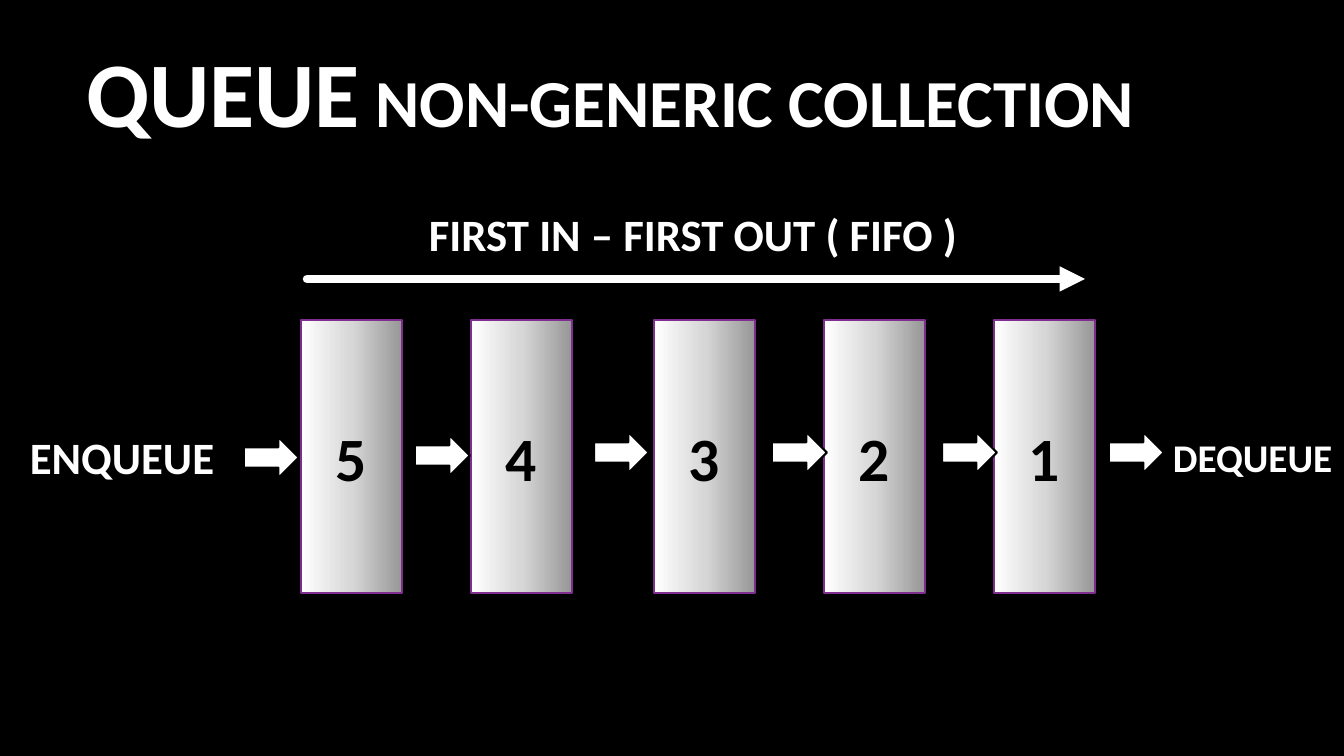
"""Build a slide that shows how a first-in, first-out queue works."""
from copy import deepcopy
from dataclasses import dataclass

from lxml.etree import SubElement
from pptx import Presentation
from pptx.dml.color import RGBColor
from pptx.enum.shapes import MSO_CONNECTOR as Link, MSO_SHAPE as Form
from pptx.enum.text import MSO_ANCHOR as Anchor, MSO_AUTO_SIZE as Fit, PP_ALIGN as Align
from pptx.oxml.ns import qn
from pptx.util import Pt

SCALE = 914400 / 100.8


@dataclass(frozen=True)
class Theme:
    """Hold the colours, font and type sizes."""
    font: str = "Calibri"
    black: str = "000000"
    white: str = "FFFFFF"
    edge: str = "7F2E8F"
    shades: tuple = ("979797", "D7D7D7", "FFFFFF")
    head: int = 66
    sub: int = 48
    digit: int = 44
    label: int = 32
    small: int = 28
    thin: float = 1.5
    thick: int = 6


LOOK = Theme()


def px(*sizes):
    """Turn pixels into EMU."""
    return [round(size * SCALE) for size in sizes]


def rgb(code):
    """Turn a hex code into a colour."""
    return RGBColor.from_string(code)


def style(run, size, color):
    """Format a run in the bold slide font."""
    font = run.font
    font.name, font.size, font.bold = LOOK.font, Pt(size), True
    font.color.rgb = rgb(color)


def add_title(slide, head, rest):
    """Fill the title with a large word and a smaller remainder."""
    title = slide.shapes.title
    title.left, title.top, title.width, title.height = px(76, 11, 1117, 160)
    frame = title.text_frame
    frame.auto_size = Fit.NONE
    frame.vertical_anchor = Anchor.MIDDLE
    para = frame.paragraphs[0]
    para.alignment = Align.LEFT
    for text, size in ((head, LOOK.head), (rest, LOOK.sub)):
        run = para.add_run()
        run.text = text
        style(run, size, LOOK.white)


def add_form(slide, kind, place, edge):
    """Add a preset shape with a thin outline."""
    shape = slide.shapes.add_shape(kind, *px(*place))
    shape.shadow.inherit = False
    shape.line.color.rgb = rgb(edge)
    shape.line.width = Pt(LOOK.thin)
    return shape


def add_cell(slide, left, text):
    """Add a shaded queue cell with its number."""
    cell = add_form(slide, Form.RECTANGLE, (left, 320, 101, 273), LOOK.edge)
    fill = cell.fill
    fill.gradient()
    fill.gradient_angle = 180
    stops = next(cell._element.spPr.iter(qn("a:gsLst")))
    stops.append(deepcopy(stops[0]))
    for num, (stop, shade) in enumerate(zip(fill.gradient_stops, LOOK.shades)):
        stop.position = num / 2
        stop.color.rgb = rgb(shade)
    frame = cell.text_frame
    frame.text = text
    frame.vertical_anchor = Anchor.MIDDLE
    para = frame.paragraphs[0]
    para.alignment = Align.CENTER
    style(para.runs[0], LOOK.digit, LOOK.black)


def add_arrow(slide, left, top):
    """Add a white block arrow."""
    arrow = add_form(slide, Form.RIGHT_ARROW, (left, top, 55, 41), LOOK.black)
    arrow.fill.solid()
    arrow.fill.fore_color.rgb = rgb(LOOK.white)


def add_flow(slide, left, right, top):
    """Add the long arrow that shows the direction."""
    flow = slide.shapes.add_connector(Link.STRAIGHT, *px(left, top, right, top))
    flow.line.color.rgb = rgb(LOOK.white)
    flow.line.width = Pt(LOOK.thick)
    props = flow._element.spPr
    line = props.find(qn("a:ln"))
    line.set("cap", "rnd")
    SubElement(line, qn("a:tailEnd"), type="triangle")
    SubElement(props, qn("a:effectLst"))


def add_label(slide, place, text, size):
    """Add a one-line white label."""
    frame = slide.shapes.add_textbox(*px(*place)).text_frame
    frame.text = text
    frame.word_wrap = False
    frame.auto_size = Fit.SHAPE_TO_FIT_TEXT
    style(frame.paragraphs[0].runs[0], size, LOOK.white)


def main():
    """Build and save the slide."""
    deck = Presentation()
    deck.slide_width, deck.slide_height = px(1344, 756)
    slide = deck.slides.add_slide(deck.slide_layouts[5])
    back = slide.background.fill
    back.solid()
    back.fore_color.rgb = rgb(LOOK.black)

    add_title(slide, "QUEUE", " NON-GENERIC COLLECTION")
    for num, left in enumerate((994, 824, 654, 471, 301), 1):
        add_cell(slide, left, str(num))
    for left, top in ((1109, 432), (942, 432), (772, 432),
                      (594, 432), (415, 435), (244, 437)):
        add_arrow(slide, left, top)
    add_flow(slide, 307, 1085, 279)
    add_label(slide, (419, 202, 553, 64), "FIRST IN – FIRST OUT ( FIFO )", LOOK.label)
    add_label(slide, (20, 425, 207, 64), "ENQUEUE", LOOK.label)
    add_label(slide, (1163, 428, 181, 57), "DEQUEUE", LOOK.small)
    deck.save("out.pptx")


if __name__ == "__main__":
    main()
